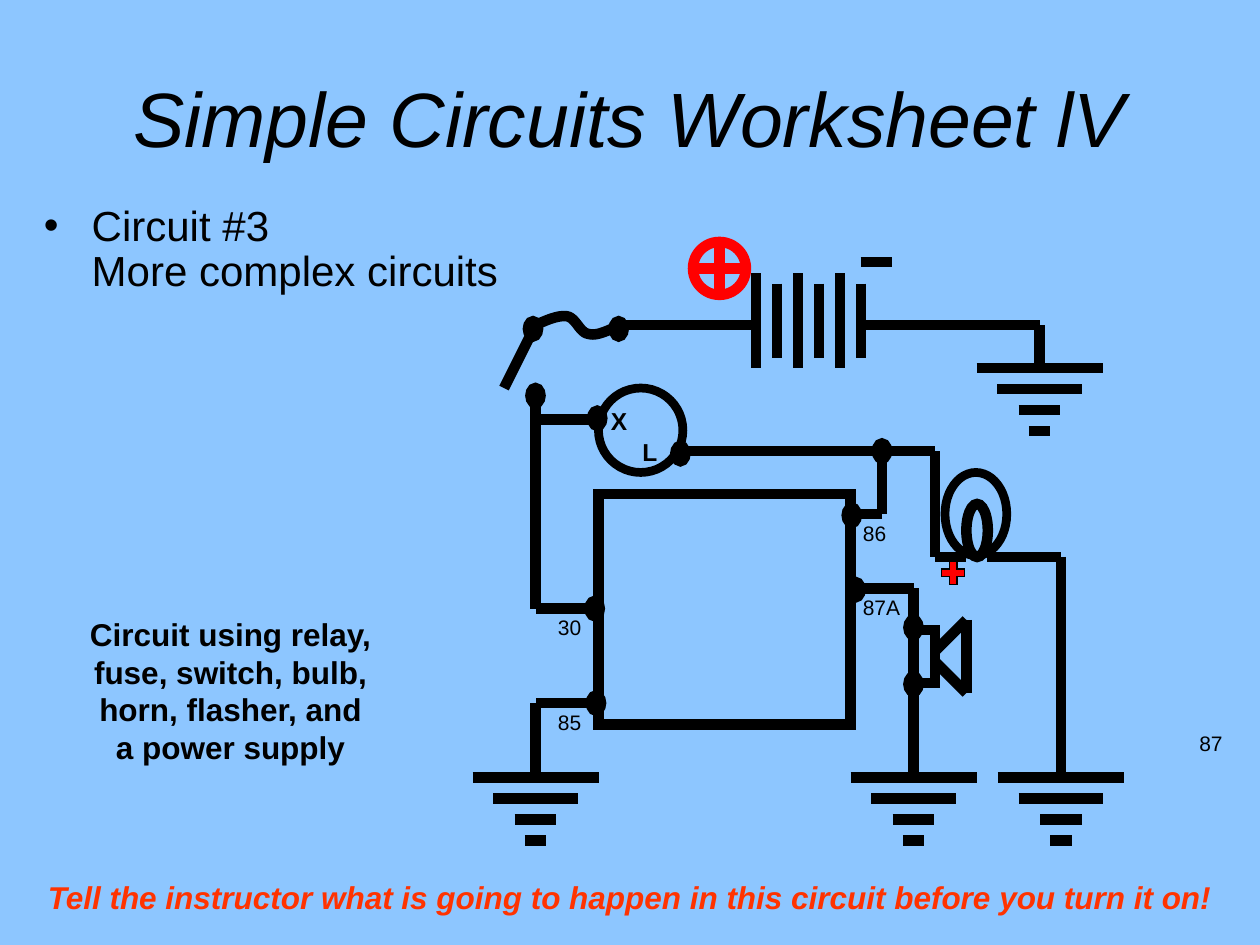
import pptx
import pptx.util
import pptx.dml.color
import pptx.enum.shapes
import pptx.enum.text
import pptx.oxml.ns
from lxml import etree
from pptx.util import Inches

RGBColor = pptx.dml.color.RGBColor
MSO_SHAPE = pptx.enum.shapes.MSO_SHAPE
ALIGN = pptx.enum.text.PP_ALIGN
qn = pptx.oxml.ns.qn

SKY = RGBColor(0x8D, 0xC6, 0xFF)
BLACK = RGBColor(0, 0, 0)
RED = RGBColor(0xFF, 0, 0)
ORANGE = RGBColor(0xFF, 0x33, 0)
STEP = 1 / 6


def wire(s, *points):
    """Join the points with straight lines."""
    for (x1, y1), (x2, y2) in zip(points, points[1:]):
        c = s.shapes.add_connector(
            pptx.enum.shapes.MSO_CONNECTOR.STRAIGHT,
            Inches(x1), Inches(y1), Inches(x2), Inches(y2))
        c.line.color.rgb = BLACK
        c.line.width = pptx.util.Pt(6)
        etree.SubElement(c._element.spPr, qn("a:effectLst"))


def style(sp, color=BLACK, width=6):
    """Give a shape a mitred outline and no fill or shadow."""
    sp.shadow.inherit = False
    sp.fill.background()
    sp.line.color.rgb = color
    sp.line.width = pptx.util.Pt(width)
    etree.SubElement(sp._element.spPr.find(qn("a:ln")), qn("a:miter"), lim="800000")


def outline(s, kind, x, y, w, h, color=BLACK, width=6):
    """Add an outlined preset shape."""
    sp = s.shapes.add_shape(kind, Inches(x), Inches(y), Inches(w), Inches(h))
    style(sp, color, width)
    return sp


def dot(s, x, y):
    """Add a terminal centred on a point."""
    outline(s, MSO_SHAPE.FLOWCHART_CONNECTOR, x - 0.04, y - 0.06, 0.08, 0.12)


def text(s, x, y, w, h, lines, size, align=ALIGN.LEFT, color=BLACK, bold=False, italic=False):
    """Add a one-paragraph text box and return its paragraph."""
    tf = s.shapes.add_textbox(Inches(x), Inches(y), Inches(w), Inches(h)).text_frame
    tf.word_wrap = True
    p = tf.paragraphs[0]
    p.alignment = align
    for i, line in enumerate(lines):
        if i:
            p.add_line_break()
        r = p.add_run()
        r.text = line
        r.font.name = "Arial"
        r.font.size = pptx.util.Pt(size)
        r.font.bold, r.font.italic = bold, italic
        r.font.color.rgb = color
    return p


def ground(s, x, y):
    """Draw a ground symbol hanging from a point."""
    for i, width in enumerate((1, 0.67, 0.33, 0.17)):
        bar = y + i * STEP
        wire(s, (x - width / 2, bar), (x + width / 2, bar))


def captions(s, x, y, w):
    """Write the title, topic, description and instruction."""
    p = text(s, x + 0.5, y + 0.3, w - 1, 1.25, ["Simple Circuits Worksheet lV"], 44,
             ALIGN.CENTER, italic=True)
    s.shapes[-1].text_frame.vertical_anchor = pptx.enum.text.MSO_ANCHOR.MIDDLE
    p = text(s, x + 0.25, y + 1.58, 4.33, 0.83, ["Circuit #3", "More complex circuits"], 24)
    p.line_spacing = 0.9
    pPr = p._p.get_or_add_pPr()
    pPr.set("marL", str(Inches(0.38)))
    pPr.set("indent", str(-Inches(0.38)))
    etree.SubElement(pPr, qn("a:buFont"), typeface="Arial")
    etree.SubElement(pPr, qn("a:buChar"), char="•")
    text(s, x + 0.33, y + 4.83, 3, 1.3,
         ["Circuit using relay, fuse, switch, bulb, horn, flasher, and", "a power supply"],
         18, ALIGN.CENTER, bold=True)
    text(s, x, y + 6.92, w, 0.4,
         ["Tell the instructor what is going to happen in this circuit before you turn it on!"],
         18, ALIGN.CENTER, ORANGE, True, True)


def battery(s, x, y):
    """Draw the battery, its polarity signs and its ground."""
    for i in range(6):
        trim = 0.08 * (i % 2)
        wire(s, (x + i * STEP, y + trim), (x + i * STEP, y + 0.75 - trim))
    wire(s, (x, y + 0.41), (x - 1.08, y + 0.41))
    wire(s, (x + 0.83, y + 0.41), (x + 2.25, y + 0.41), (x + 2.25, y + 0.75))
    ground(s, x + 2.25, y + 0.75)
    outline(s, MSO_SHAPE.FLOWCHART_OR, x - 0.5, y - 0.25, 0.42, 0.42, RED)
    wire(s, (x + 0.83, y - 0.09), (x + 1.08, y - 0.09))


def bezier(a, b, c, d, steps=12):
    """Return points along a cubic curve, without its start."""
    ts = [i / steps for i in range(1, steps + 1)]
    return [tuple((1 - t) ** 3 * m + 3 * (1 - t) ** 2 * t * n
                  + 3 * (1 - t) * t * t * o + t ** 3 * q
                  for m, n, o, q in zip(a, b, c, d)) for t in ts]


def fuse_and_switch(s, x, y):
    """Draw the fuse, the open switch and the feed to the relay."""
    knots = [(0, 0), (0.09, -0.04), (0.18, -0.08), (0.25, -0.07), (0.32, -0.06),
             (0.35, 0.06), (0.42, 0.07), (0.49, 0.09), (0.58, 0.04), (0.67, 0)]
    points = [p for i in (0, 3, 6) for p in bezier(*knots[i:i + 4])]
    fb = s.shapes.build_freeform(Inches(x), Inches(y))
    fb.add_line_segments([(Inches(x + a), Inches(y + b)) for a, b in points], close=False)
    style(fb.convert_to_shape())
    wire(s, (x - 0.25, y + 0.5), (x, y))
    wire(s, (x, y + 0.5), (x, y + 2.25), (x + 0.5, y + 2.25))
    wire(s, (x, y + 0.75), (x + 0.5, y + 0.75))
    for dx, dy in ((-0.02, 0.03), (0.66, 0.03), (0, 0.56)):
        dot(s, x + dx, y + dy)


def flasher(s, x, y):
    """Draw the flasher with its two terminals and output wire."""
    outline(s, MSO_SHAPE.OVAL, x, y, 0.67, 0.67, width=5)
    text(s, x, y + 0.09, 0.33, 0.33, ["X"], 14, bold=True)
    text(s, x + 0.25, y + 0.34, 0.33, 0.33, ["L"], 14, bold=True)
    wire(s, (x + 0.67, y + 0.5), (x + 2.67, y + 0.5))
    for dx, dy in ((-0.01, 0.24), (0.65, 0.52), (2.25, 0.5)):
        dot(s, x + dx, y + dy)


def relay(s, x, y, w, h):
    """Draw the relay with its numbered terminals and ground."""
    outline(s, MSO_SHAPE.RECTANGLE, x, y, w, h)
    right = x + w
    wire(s, (right + 0.25, y - 0.34), (right + 0.25, y + 0.16), (right, y + 0.16))
    wire(s, (right, y + 0.75), (right + 0.5, y + 0.75), (right + 0.5, y + 1.08))
    wire(s, (x, y + 1.66), (x - 0.5, y + 1.66), (x - 0.5, y + 2.25))
    ground(s, x - 0.5, y + 2.25)
    for label, dx, dy, width in (("85", -0.42, 1.66, 0.42), ("86", w, 0.16, 0.42),
                                 ("30", -0.42, 0.91, 0.42), ("87A", w, 0.75, 0.5),
                                 ("87", 4.67, 1.83, 0.42)):
        text(s, x + dx, y + dy, width, 0.3, [label], 12)
    for dx, dy in ((-0.02, 1.66), (-0.03, 0.91), (w + 0.01, 0.17), (w + 0.04, 0.76)):
        dot(s, x + dx, y + dy)


def bulb(s, x, y):
    """Draw the bulb, its plus sign and its wires to ground."""
    outline(s, MSO_SHAPE.OVAL, x, y, 0.49, 0.66, width=5)
    outline(s, MSO_SHAPE.OVAL, x + 0.17, y + 0.25, 0.17, 0.42)
    wire(s, (x - 0.08, y - 0.17), (x - 0.08, y + 0.67), (x + 0.17, y + 0.67))
    wire(s, (x + 0.33, y + 0.67), (x + 0.92, y + 0.67), (x + 0.92, y + 2.42))
    ground(s, x + 0.92, y + 2.42)
    plus = outline(s, MSO_SHAPE.MATH_PLUS, x - 0.06, y + 0.67, 0.25, 0.25, width=0)
    plus.fill.solid()
    plus.fill.fore_color.rgb = RED


def horn(s, x, y):
    """Draw the horn and its wire to ground."""
    outline(s, MSO_SHAPE.RECTANGLE, x, y, 0.17, 0.42)
    wire(s, (x + 0.17, y + 0.17), (x + 0.42, y - 0.08),
         (x + 0.42, y + 0.5), (x + 0.17, y + 0.25))
    wire(s, (x, y + 0.42), (x, y + 1.17))
    ground(s, x, y + 1.17)
    for dy in (-0.02, 0.43):
        dot(s, x, y + dy)


def main():
    """Build and save the worksheet slide."""
    prs = pptx.Presentation()
    prs.slide_width, prs.slide_height = Inches(10), Inches(7.5)
    s = prs.slides.add_slide(prs.slide_layouts[6])
    s.background.fill.solid()
    s.background.fill.fore_color.rgb = SKY
    captions(s, 0, 0, 10)
    battery(s, 6, 2.17)
    fuse_and_switch(s, 4.25, 2.58)
    flasher(s, 4.75, 3.08)
    relay(s, 4.75, 3.92, 2, 1.83)
    bulb(s, 7.5, 3.75)
    horn(s, 7.25, 5)
    prs.save("out.pptx")


if __name__ == "__main__":
    main()
